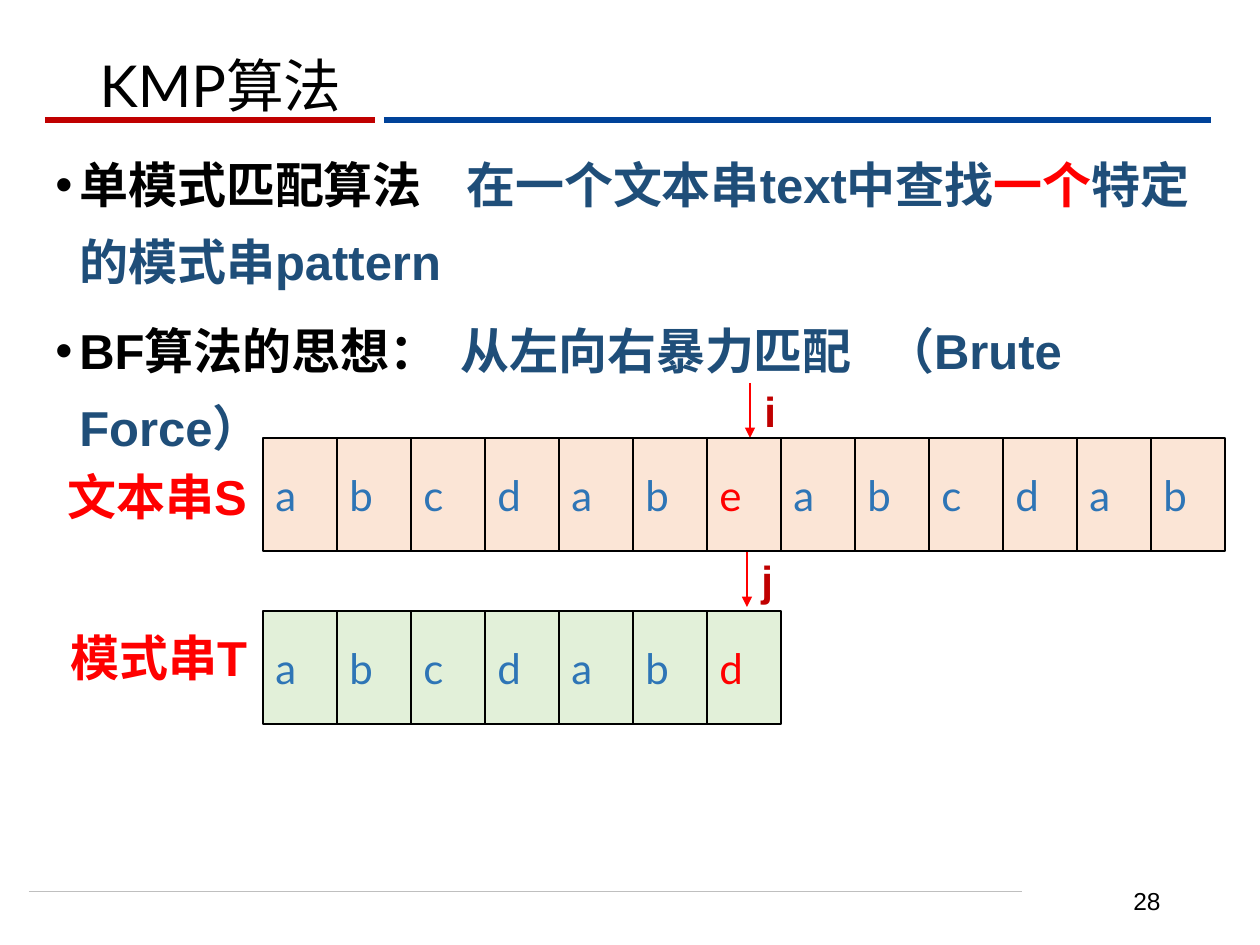
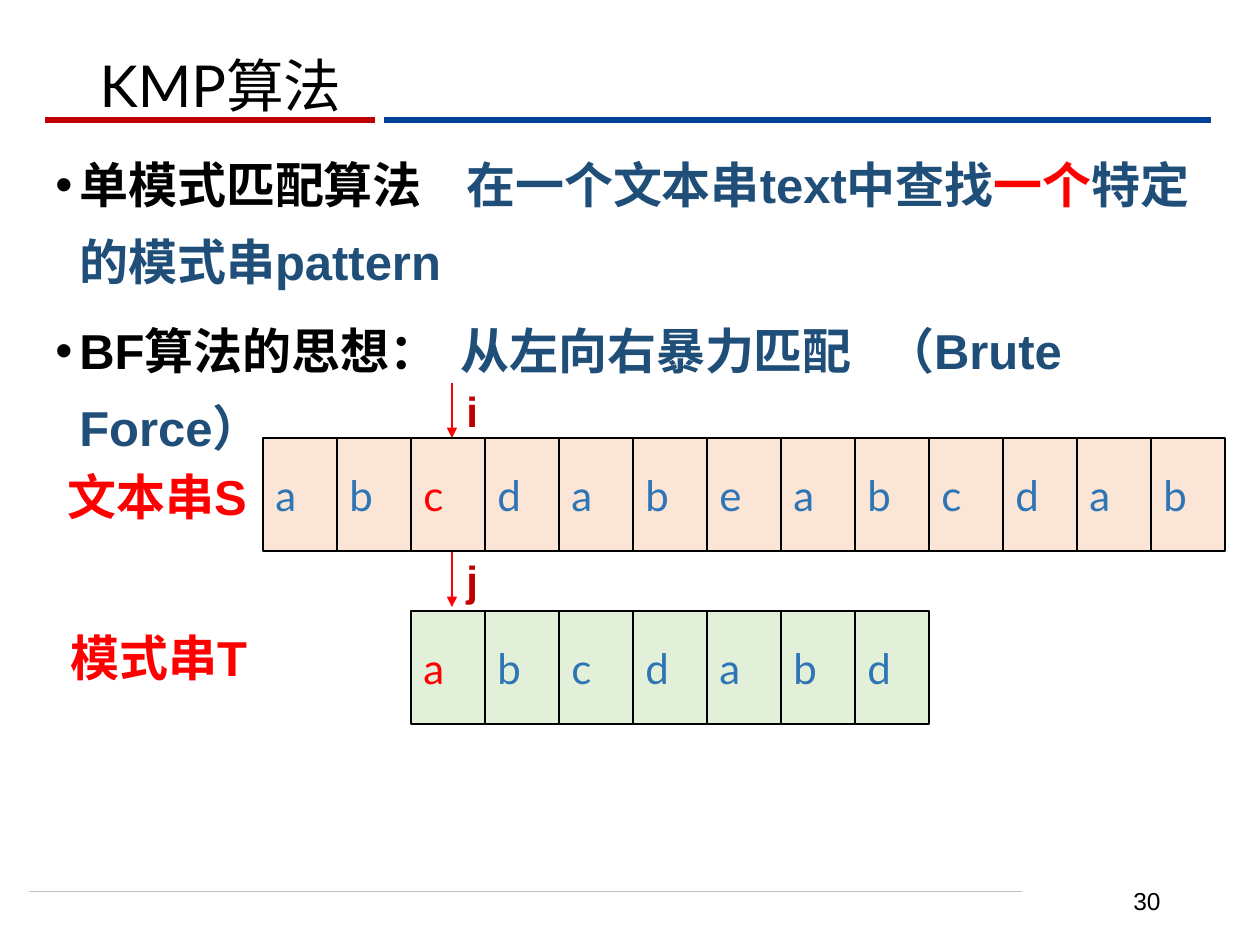
from pptx import Presentation
from pptx.dml.color import RGBColor
from pptx.enum.shapes import MSO_CONNECTOR, MSO_SHAPE
from pptx.enum.text import MSO_ANCHOR, MSO_AUTO_SIZE, PP_ALIGN
from pptx.oxml.ns import qn
from pptx.util import Emu, Pt
from lxml.etree import SubElement

PX = 914400 / 126
BLACK, WHITE, GREY = "000000", "FFFFFF", "BFBFBF"
RED, DARK_RED = "FF0000", "C00000"
NAVY, RULE_BLUE, LETTER_BLUE = "1F4E79", "004299", "2E75B6"
PEACH, GREEN = "FBE5D6", "E2F0D9"
SANS, LATO = "Arial", "Lato"

CELL_LEFT, CELL_W, CELL_H = 263, 74, 113
TEXT_TOP, PATTERN_TOP = 438, 611
ARROW_LEN = 55
TEXT, PATTERN = "abcdabeabcdab", "abcdabd"

BULLETS = [
    [("单模式匹配算法    ", BLACK, LATO),
     ("在一个文本串text中查找", NAVY, SANS),
     ("一个", RED, SANS),
     ("特定的模式串pattern", NAVY, SANS)],
    [("BF算法的思想：  ", BLACK, SANS),
     ("从左向右暴力匹配   （Brute Force）", NAVY, SANS)],
]


def px(n):
    """Turn px into EMU."""
    return Emu(round(n * PX))


def rgb(color):
    """Turn a hex string into a colour."""
    return RGBColor.from_string(color)


def add_run(p, text, size, color, font, bold=False):
    """Add one formatted run to a paragraph."""
    r = p.add_run()
    r.text = text
    r.font.size, r.font.name, r.font.bold = Pt(size), font, bold
    r.font.color.rgb = rgb(color)


def space_half_line(p):
    """Put half a line of space before a paragraph."""
    before = SubElement(p._p.get_or_add_pPr(), qn("a:spcBef"))
    SubElement(before, qn("a:spcPct"), val="50000")


def add_textbox(s, x, y, w, h, wrap=True):
    """Add an empty text box and return its text frame."""
    tf = s.shapes.add_textbox(px(x), px(y), px(w), px(h)).text_frame
    tf.word_wrap = wrap
    return tf


def add_label(s, x, y, w, h, text, size, color, wrap=True):
    """Add a bold one-run label."""
    tf = add_textbox(s, x, y, w, h, wrap)
    tf.auto_size = MSO_AUTO_SIZE.SHAPE_TO_FIT_TEXT
    p = tf.paragraphs[0]
    space_half_line(p)
    add_run(p, text, size, color, SANS, True)


def add_line(s, x1, y1, x2, y2, color, width, arrow=False):
    """Add a straight line, with an arrowhead at its end if asked."""
    line = s.shapes.add_connector(
        MSO_CONNECTOR.STRAIGHT, px(x1), px(y1), px(x2), px(y2))
    line.line.color.rgb = rgb(color)
    line.line.width = Pt(width)
    if arrow:
        SubElement(line.line._get_or_add_ln(), qn("a:tailEnd"), type="triangle")
    SubElement(line._element.spPr, qn("a:effectLst"))


def add_pointer(s, x, y, name):
    """Add a downward index arrow with its name beside it."""
    add_line(s, x, y, x, y + ARROW_LEN, RED, 1.5, arrow=True)
    add_label(s, x + 2, y - 4, 37, 63, name, 24, DARK_RED, wrap=False)


def add_cells(s, letters, column, top, fill, marked):
    """Add a row of letter cells from a column on, one letter marked red."""
    for i, letter in enumerate(letters):
        sp = s.shapes.add_shape(
            MSO_SHAPE.RECTANGLE, px(CELL_LEFT + (column + i) * CELL_W), px(top),
            px(CELL_W), px(CELL_H))
        sp.shadow.inherit = False
        sp.fill.solid()
        sp.fill.fore_color.rgb = rgb(fill)
        sp.line.color.rgb = rgb(BLACK)
        sp.line.width = Pt(1)
        sp.text_frame.vertical_anchor = MSO_ANCHOR.MIDDLE
        p = sp.text_frame.paragraphs[0]
        p.alignment = PP_ALIGN.JUSTIFY
        space_half_line(p)
        add_run(p, letter, 24, RED if i == marked else LETTER_BLUE, LATO)


def add_title(s, text):
    """Place and format the title placeholder."""
    sp = s.shapes.title
    sp.left, sp.top, sp.width, sp.height = px(87), px(-3), px(1086), px(183)
    tf = sp.text_frame
    tf.auto_size = MSO_AUTO_SIZE.NONE
    tf.vertical_anchor = MSO_ANCHOR.MIDDLE
    p = tf.paragraphs[0]
    p.alignment = PP_ALIGN.LEFT
    p.line_spacing = 0.9
    add_run(p, text, 33, BLACK, LATO)


def add_bullets(s, bullets):
    """Add the bulleted body text."""
    tf = add_textbox(s, 43, 131, 1197, 590)
    for i, runs in enumerate(bullets):
        p = tf.add_paragraph() if i else tf.paragraphs[0]
        p.line_spacing, p.space_before = 1.3, Pt(7.5)
        pPr = p._p.get_or_add_pPr()
        pPr.set("marL", str(px(24)))
        pPr.set("indent", str(-px(24)))
        SubElement(pPr, qn("a:buFont"), typeface=SANS)
        SubElement(pPr, qn("a:buChar"), char="•")
        for text, color, font in runs:
            add_run(p, text, 28, color, font, True)


def add_frame(s, number):
    """Add the rules and the slide number."""
    add_line(s, 29, 891, 1022, 891, GREY, 0.5)
    add_line(s, 384, 120, 1211, 120, RULE_BLUE, 3)
    add_line(s, 45, 120, 375, 120, DARK_RED, 3)
    tf = add_textbox(s, 890, 876, 283, 50)
    tf.vertical_anchor = MSO_ANCHOR.MIDDLE
    p = tf.paragraphs[0]
    p.alignment = PP_ALIGN.RIGHT
    add_run(p, str(number), 14, BLACK, SANS)


def add_match_slide(prs, number, shift, column, i_x, j_x):
    """Add one matching step: pattern shift and the compared column."""
    s = prs.slides.add_slide(prs.slide_layouts[5])
    s.background.fill.solid()
    s.background.fill.fore_color.rgb = rgb(WHITE)
    add_frame(s, number)
    add_title(s, "KMP算法")
    add_bullets(s, BULLETS)
    add_pointer(s, i_x, TEXT_TOP - ARROW_LEN, "i")
    add_pointer(s, j_x, TEXT_TOP + CELL_H + 1, "j")
    add_label(s, 55, 460, 208, 72, "文本串S", 28, RED)
    add_label(s, 58, 621, 205, 72, "模式串T", 28, RED)
    add_cells(s, TEXT, 0, TEXT_TOP, PEACH, column)
    add_cells(s, PATTERN, shift, PATTERN_TOP, GREEN, column - shift)


def main():
    """Build the two slides."""
    prs = Presentation()
    prs.slide_width, prs.slide_height = px(1260), px(945)
    add_match_slide(prs, 28, shift=0, column=6, i_x=750, j_x=747)
    add_match_slide(prs, 30, shift=2, column=2, i_x=452, j_x=452)
    prs.save("out.pptx")


if __name__ == "__main__":
    main()
